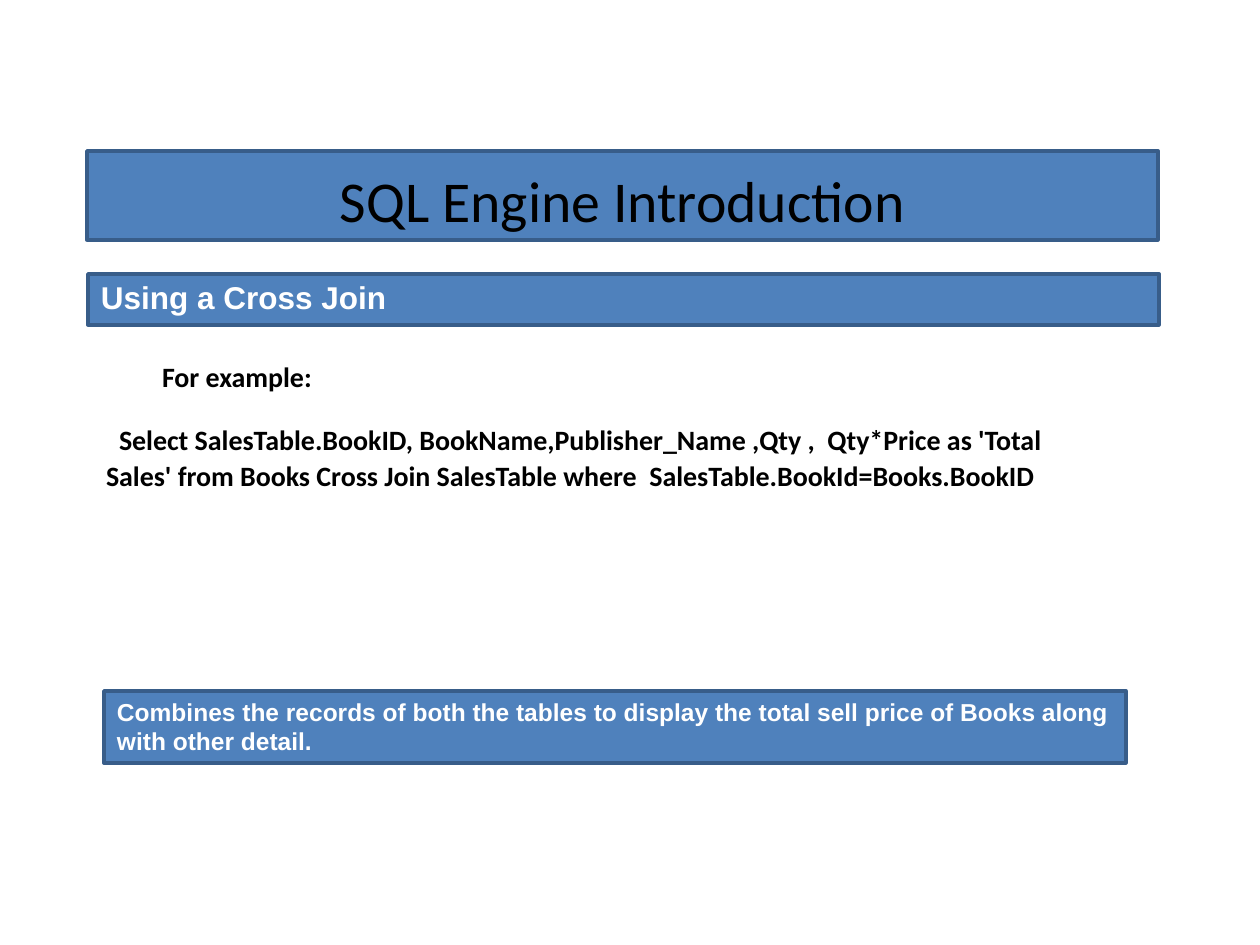
"""Build the cross join slide with python-pptx."""
from pptx import Presentation
from pptx.dml.color import RGBColor
from pptx.enum.shapes import MSO_SHAPE
from pptx.enum.text import MSO_ANCHOR, PP_ALIGN
from pptx.util import Emu, Pt

EMU_PER_PX = 914400 / 126
BAR_BLUE = RGBColor(0x4F, 0x81, 0xBC)
EDGE_BLUE = RGBColor(0x38, 0x5D, 0x89)
WHITE = RGBColor(0xFF, 0xFF, 0xFF)
BLACK = RGBColor(0x00, 0x00, 0x00)

TITLE_FONT = {"name": "Calibri", "size": Pt(33), "bold": False}
HEADING_FONT = {"name": "Arial", "size": Pt(18), "bold": True}
NOTE_FONT = {"name": "Arial", "size": Pt(14), "bold": True}
QUERY_FONT = {"name": "Calibri", "size": Pt(16), "bold": True}


def px(length):
    return Emu(round(length * EMU_PER_PX))


def apply_format(target, values):
    for attribute, value in values.items():
        setattr(target, attribute, value)


def prepare_frame(frame, top_inset, anchor=MSO_ANCHOR.TOP):
    apply_format(frame, {
        "margin_left": 0, "margin_top": px(top_inset),
        "margin_right": 0, "margin_bottom": 0,
        "word_wrap": True, "vertical_anchor": anchor,
    })


def write_paragraph(paragraph, words, font, color, margin=0, indent=0, **spacing):
    run = paragraph.add_run()
    run.text = words
    apply_format(run.font, font)
    run.font.color.rgb = color
    apply_format(paragraph, {"alignment": PP_ALIGN.LEFT, **spacing})
    properties = paragraph._p.get_or_add_pPr()
    properties.set("marL", str(px(margin)))
    properties.set("indent", str(px(indent)))


def add_bar(slide, box, words, font, color, top_inset,
            anchor=MSO_ANCHOR.TOP, **paragraph_format):
    bar = slide.shapes.add_shape(MSO_SHAPE.RECTANGLE, *map(px, box))
    bar.shadow.inherit = False
    bar.fill.solid()
    bar.fill.fore_color.rgb = BAR_BLUE
    bar.line.color.rgb = EDGE_BLUE
    bar.line.width = Pt(2)
    prepare_frame(bar.text_frame, top_inset, anchor)
    write_paragraph(bar.text_frame.paragraphs[0], words, font, color,
                    **paragraph_format)


def add_example(slide, box, label, query):
    frame = slide.shapes.add_textbox(*map(px, box)).text_frame
    prepare_frame(frame, 1)
    write_paragraph(frame.paragraphs[0], label, QUERY_FONT, BLACK, margin=57)
    write_paragraph(frame.add_paragraph(), query, QUERY_FONT, BLACK, margin=1,
                    indent=13, line_spacing=1.06, space_before=Pt(15.7))


def main():
    deck = Presentation()
    apply_format(deck, {"slide_width": px(1260), "slide_height": px(945)})
    slide = deck.slides.add_slide(deck.slide_layouts[6])
    add_example(
        slide, (105, 359, 1000, 136), "For example:",
        "Select SalesTable.BookID, BookName,Publisher_Name ,Qty ,  Qty*Price "
        "as 'Total Sales' from Books Cross Join SalesTable where  "
        "SalesTable.BookId=Books.BookID")
    add_bar(
        slide, (104, 691, 1022, 72),
        "Combines the records of both the tables to display the total sell "
        "price of Books along  with other detail.",
        NOTE_FONT, WHITE, 6, margin=13)
    add_bar(slide, (88, 274, 1071, 51), "Using a Cross Join",
            HEADING_FONT, WHITE, 4, margin=13)
    add_bar(slide, (87, 151, 1071, 89), "SQL Engine Introduction",
            TITLE_FONT, BLACK, 8, MSO_ANCHOR.MIDDLE, alignment=PP_ALIGN.CENTER)
    deck.save("out.pptx")


if __name__ == "__main__":
    main()
